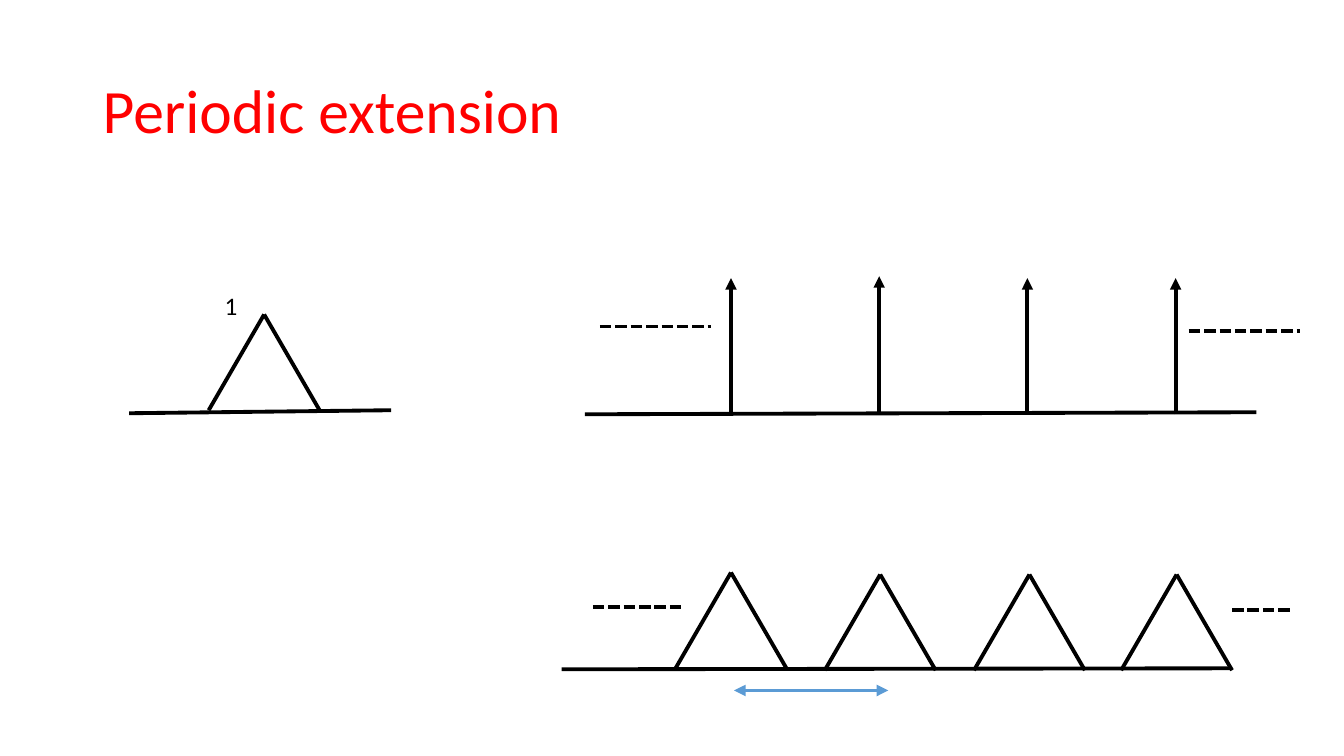
from lxml import etree
from pptx import Presentation
from pptx.dml.color import RGBColor
from pptx.enum.dml import MSO_LINE
from pptx.enum.shapes import MSO_CONNECTOR as CONNECTOR
from pptx.enum.text import MSO_ANCHOR as ANCHOR
from pptx.oxml.ns import qn
from pptx.util import Inches, Pt

RED = RGBColor(0xFF, 0x00, 0x00)
BLACK = RGBColor(0x00, 0x00, 0x00)
BLUE = RGBColor(0x5B, 0x9B, 0xD5)

PULSE_HALF_WIDTH = 0.55
PULSE_HEIGHT = 0.95


def add_text(slide, box, text, anchor, spacing, font_format):
    shape = slide.shapes.add_textbox(*map(Inches, box))
    frame = shape.text_frame
    frame.word_wrap = True
    frame.vertical_anchor = anchor
    paragraph = frame.paragraphs[0]
    paragraph.text = text
    paragraph.line_spacing = spacing
    font = paragraph.runs[0].font
    font.color.rgb = font_format["color"]
    for name in ("name", "size"):
        setattr(font, name, font_format[name])


def add_line(shapes, start, end, color=BLACK, dash=None, arrows=()):
    connector = shapes.add_connector(CONNECTOR.STRAIGHT, *map(Inches, (*start, *end)))
    line = connector.line
    line.color.rgb = color
    for name, value in {"width": Pt(2.75), "dash_style": dash}.items():
        setattr(line, name, value)
    for arrow in arrows:
        etree.SubElement(line._get_or_add_ln(), qn(f"a:{arrow}"), type="triangle")
    etree.SubElement(connector._element.spPr, qn("a:effectLst"))


def add_dots(slide, left, top, width):
    add_line(slide.shapes, (left, top), (left + width, top), dash=MSO_LINE.SQUARE_DOT)


def add_pulse(slide, x, top):
    group = slide.shapes.add_group_shape()
    foot = top + PULSE_HEIGHT
    for side in (-1, 1):
        add_line(group.shapes, (x + side * PULSE_HALF_WIDTH, foot), (x, top))


def add_title(slide, box):
    font_format = {"name": "Calibri", "size": Pt(44), "color": RED}
    add_text(slide, box, "Periodic extension", ANCHOR.MIDDLE, 0.9, font_format)


def add_single_pulse(slide, left, top, width, height):
    base = top + height
    add_line(slide.shapes, (left, base), (left + width, base - 0.03))
    add_pulse(slide, left + 1.34, top + 0.29)
    font_format = {"name": "Calibri", "size": Pt(18), "color": BLACK}
    add_text(slide, (left + 0.85, top, 0.51, 0.4), "1", ANCHOR.TOP, 1.0, font_format)


def add_impulse_train(slide, left, top, width, height):
    base = top + height
    add_line(slide.shapes, (left, base), (left + width, base - 0.02))
    for index, lift in enumerate((0, 0.02, 0, 0)):
        x = left + 1.45 + 1.47 * index
        add_line(slide.shapes, (x, base), (x, top - lift), arrows=["tailEnd"])
    add_dots(slide, left + 0.15, top + 0.48, 1.1)
    add_dots(slide, left + 5.99, top + 0.52, 1.1)


def add_pulse_train(slide, left, top, width, height):
    base = top + height
    add_line(slide.shapes, (left, base), (left + width, base - 0.01))
    for offset, drop in ((1.68, 0), (3.16, 0.02), (4.64, 0.02), (6.1, 0.02)):
        add_pulse(slide, left + offset, top + drop)
    add_dots(slide, left + 0.31, top + 0.34, 0.91)
    add_dots(slide, left + width, top + 0.37, 0.61)
    period_y = base + 0.21
    add_line(slide.shapes, (left + 1.71, period_y), (left + 3.24, period_y),
             color=BLUE, arrows=["headEnd", "tailEnd"])


def main():
    presentation = Presentation()
    presentation.slide_width = Inches(13.33)
    presentation.slide_height = Inches(7.5)
    slide = presentation.slides.add_slide(presentation.slide_layouts[6])
    add_title(slide, (0.92, 0.4, 11.5, 1.45))
    add_single_pulse(slide, 1.28, 2.83, 2.6, 1.27)
    add_impulse_train(slide, 5.8, 2.76, 6.66, 1.35)
    add_pulse_train(slide, 5.57, 5.68, 6.65, 0.96)
    presentation.save("out.pptx")


if __name__ == "__main__":
    main()
